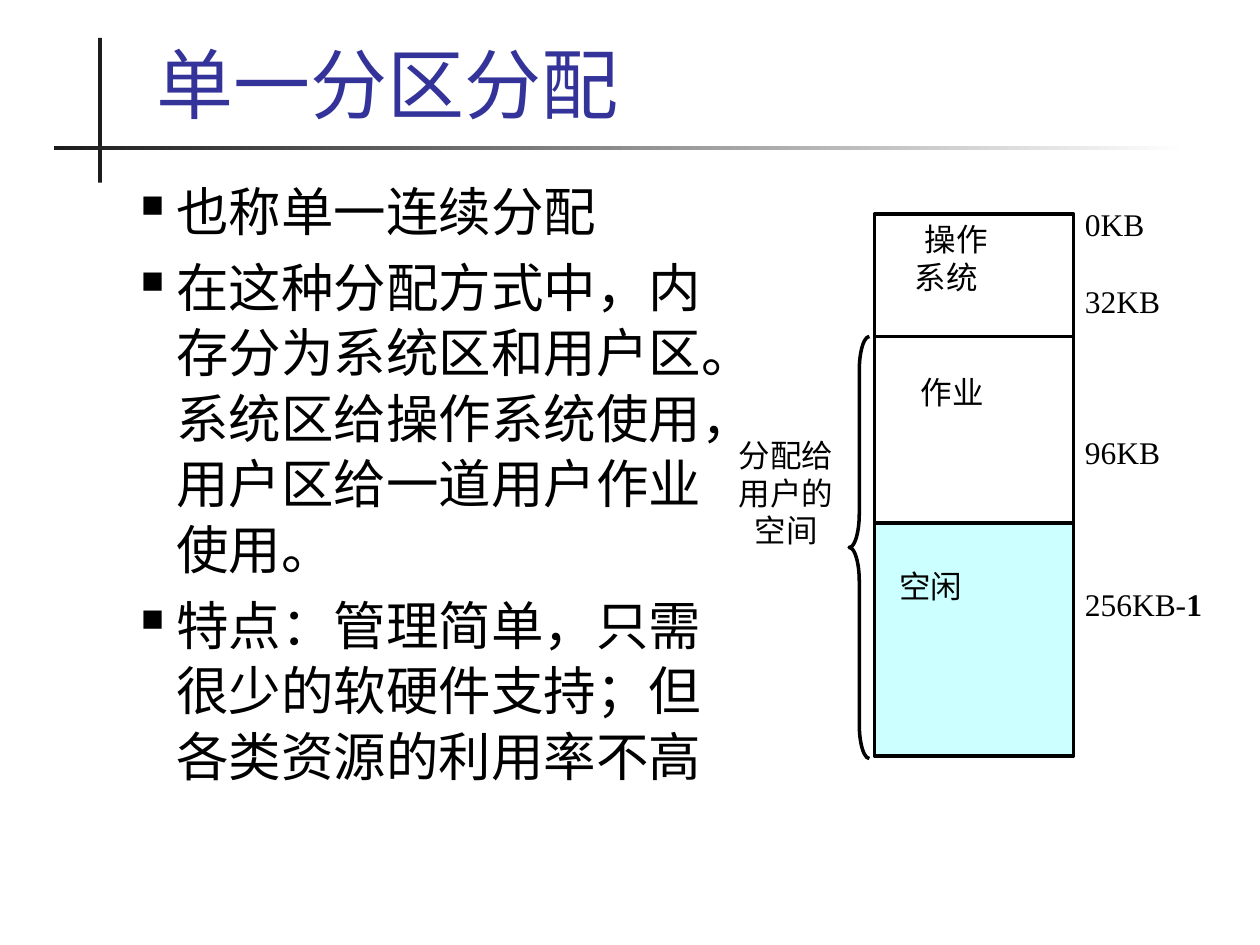
from dataclasses import dataclass
from lxml.etree import SubElement
from pptx import Presentation
from pptx.dml.color import RGBColor as Rgb
from pptx.enum.shapes import MSO_CONNECTOR as Link, MSO_SHAPE as Kind
from pptx.enum.text import MSO_ANCHOR as Anchor, PP_ALIGN as Align
from pptx.oxml.ns import qn
from pptx.util import Inches, Pt


@dataclass(frozen=True)
class Theme:
    ink: str = "000000"
    bar: str = "1C1C1C"
    paper: str = "FFFFFF"
    title: str = "333399"
    free: str = "CCFFFF"
    head: str = "TeX Gyre Schola"
    label: str = "Times New Roman"
    note: str = "Karla"
    big: int = 44
    body: int = 30
    small: int = 18
    line: int = 2


theme = Theme()

TITLE = "单一分区分配"
POINTS = [
    "也称单一连续分配",
    "在这种分配方式中，内存分为系统区和用户区。系统区给操作系统使用，用户区给一道用户作业使用。",
    "特点：管理简单，只需很少的软硬件支持；但各类资源的利用率不高",
]
# text, left indent in inches, space before in points
USED = [("操作", 0.3, 0), ("系统", 0.22, 0), ("作业", 0.27, 44)]
FREE = [("空闲", 0.1, 0)]
SIZES = [("0KB", 0, 0), ("32KB", 0, 22), ("96KB", 0, 65), ("256KB-", 0, 65)]
USER = [("分配给用户的空间", 0, 0)]

# memory column, in inches
LEFT, WIDE = 6.94, 1.58
TOP, SPLIT, MID, END = 1.7, 2.67, 4.15, 6.0


def style(run, face, size, color=theme.ink):
    run.font.name, run.font.size = face, Pt(size)
    run.font.color.rgb = Rgb.from_string(color)


def write(frame, rows, face=theme.label, align=Align.LEFT):
    for i, (text, indent, gap) in enumerate(rows):
        para = frame.paragraphs[0] if i == 0 else frame.add_paragraph()
        para.text = text
        para.alignment = align
        if indent:
            para._p.get_or_add_pPr().set("marL", str(Inches(indent)))
        if gap:
            para.space_before = Pt(gap)
        style(para.runs[0], face, theme.small)


def inset(frame, side, top):
    frame.margin_left = frame.margin_right = Inches(side)
    frame.margin_top = frame.margin_bottom = Inches(top)


def add_text(slide, *box):
    frame = slide.shapes.add_textbox(*map(Inches, box)).text_frame
    frame.word_wrap = True
    return frame


def add_block(slide, kind, box, fill=None, edge=True):
    shape = slide.shapes.add_shape(kind, *map(Inches, box))
    shape.shadow.inherit = False
    if fill:
        shape.fill.solid()
        shape.fill.fore_color.rgb = Rgb.from_string(fill)
    else:
        shape.fill.background()
    if edge:
        draw_edge(shape)
    else:
        shape.line.fill.background()
    shape.text_frame.vertical_anchor = Anchor.TOP
    return shape


def draw_edge(shape):
    shape.line.color.rgb = Rgb.from_string(theme.ink)
    shape.line.width = Pt(theme.line)


def add_bullet(para):
    props = para._p.get_or_add_pPr()
    props.set("marL", str(Inches(0.28)))
    props.set("indent", str(-Inches(0.28)))
    color = SubElement(props, qn("a:buClr"))
    SubElement(color, qn("a:srgbClr"), val=theme.ink)
    SubElement(props, qn("a:buSzPct"), val="60000")
    SubElement(props, qn("a:buChar"), char="■")


def add_head(slide):
    add_block(slide, Kind.RECTANGLE, (0.78, 0.3, 0.03, 1.15), theme.bar, False)
    rule = add_block(slide, Kind.RECTANGLE, (0.43, 1.16, 9, 0.03), edge=False)
    rule.fill.gradient()
    rule.fill.gradient_angle = 0
    for stop, color in zip(rule.fill.gradient_stops, (theme.bar, theme.paper)):
        stop.color.rgb = Rgb.from_string(color)
    frame = add_text(slide, 1.14, 0.25, 8.59, 0.82)
    frame.vertical_anchor = Anchor.BOTTOM
    frame.text = TITLE
    style(frame.paragraphs[0].runs[0], theme.head, theme.big, theme.title)


def add_points(slide):
    frame = add_text(slide, 1.02, 1.35, 4.95, 5.35)
    for i, text in enumerate(POINTS):
        para = frame.paragraphs[0] if i == 0 else frame.add_paragraph()
        para.text = text
        add_bullet(para)
        para.line_spacing = 1.04
        if i:
            para.space_before = Pt(theme.body * 0.2)
        style(para.runs[0], theme.head, theme.body)


def add_memory(slide):
    used = add_block(slide, Kind.RECTANGLE, (LEFT, TOP, WIDE, MID - TOP), theme.paper)
    write(used.text_frame, USED)

    ends = (LEFT, SPLIT, LEFT + WIDE, SPLIT)
    split = slide.shapes.add_connector(Link.STRAIGHT, *map(Inches, ends))
    draw_edge(split)
    SubElement(split._element.spPr, qn("a:effectLst"))

    frame = add_text(slide, 8.59, 1.62, 1.3, 4.67)
    inset(frame, 0.02, 0.01)
    write(frame, SIZES)
    last = frame.paragraphs[-1].add_run()
    last.text = "1"
    style(last, theme.label, theme.small)
    last.font.bold = True

    free = add_block(slide, Kind.RECTANGLE, (LEFT, MID, WIDE, END - MID), theme.free)
    free.text_frame.margin_top = Inches(0.35)
    write(free.text_frame, FREE, theme.note)

    brace = add_block(slide, Kind.LEFT_BRACE, (6.74, SPLIT, 0.16, 3.35))
    brace.adjustments[0] = 1.69

    frame = add_text(slide, 5.75, 3.46, 0.98, 1.67)
    inset(frame, 0, 0)
    write(frame, USER, align=Align.CENTER)


def main():
    deck = Presentation()
    deck.slide_width, deck.slide_height = Inches(10), Inches(7.5)
    slide = deck.slides.add_slide(deck.slide_layouts[6])
    add_head(slide)
    add_points(slide)
    add_memory(slide)
    deck.save("out.pptx")


if __name__ == "__main__":
    main()
